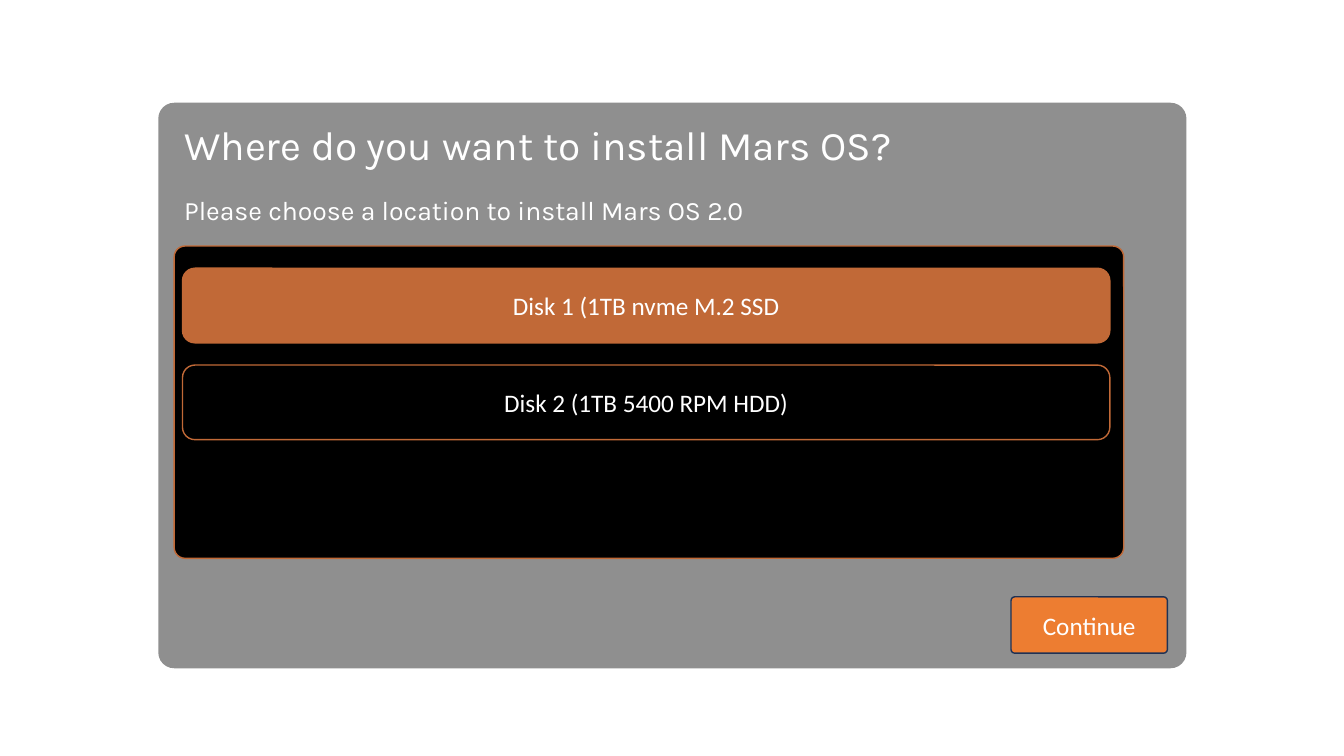
from lxml.etree import SubElement
from pptx import Presentation
from pptx.dml.color import RGBColor
from pptx.enum.shapes import MSO_SHAPE
from pptx.enum.text import MSO_ANCHOR, MSO_AUTO_SIZE, PP_ALIGN
from pptx.oxml.ns import qn
from pptx.util import Cm, Pt

WHITE, BLACK = "FFFFFF", "000000"
COPPER, ORANGE, NAVY = "C16937", "ED7D31", "1E3256"


def paint(color_format, value):
    color_format.rgb = RGBColor.from_string(value)


class InstallerPage:
    heading_font = "Karla"
    label_font = "Calibri"
    label_size = 18

    def __init__(self, deck):
        self.page = deck.slides.add_slide(deck.slide_layouts[5])

    def add_text(self, frame, text, font, size, align, anchor):
        frame.word_wrap = True
        frame.vertical_anchor = anchor
        para = frame.paragraphs[0]
        para.alignment = align
        span = para.add_run()
        span.text = text
        span.font.name = font
        span.font.size = Pt(size)
        paint(span.font.color, WHITE)

    def heading(self, box, text, size):
        frame = box.text_frame
        self.add_text(frame, text, self.heading_font, size, PP_ALIGN.LEFT, MSO_ANCHOR.TOP)
        frame.auto_size = MSO_AUTO_SIZE.SHAPE_TO_FIT_TEXT

    def title(self, left, top, width, height, text, size):
        box = self.page.shapes.title
        box.left, box.top = Cm(left), Cm(top)
        box.width, box.height = Cm(width), Cm(height)
        self.heading(box, text, size)

    def subtitle(self, left, top, width, height, text, size):
        box = self.page.shapes.add_textbox(Cm(left), Cm(top), Cm(width), Cm(height))
        self.heading(box, text, size)

    def rounded(self, left, top, width, height, fill, line=None, radius=0.167, label=None):
        box = self.page.shapes.add_shape(
            MSO_SHAPE.ROUNDED_RECTANGLE, Cm(left), Cm(top), Cm(width), Cm(height))
        box.adjustments[0] = radius
        box.shadow.inherit = False
        box.fill.solid()
        paint(box.fill.fore_color, fill)
        if line:
            paint(box.line.color, line)
            box.line.width = Pt(1)
        else:
            box.line.fill.background()
        if label:
            self.add_text(box.text_frame, label, self.label_font, self.label_size,
                          PP_ALIGN.CENTER, MSO_ANCHOR.MIDDLE)
        return box

    def backdrop(self, left, top, width, height, fill, opacity, radius):
        box = self.rounded(left, top, width, height, fill, radius=radius)
        color = box.element.spPr.find(qn("a:solidFill"))[0]
        SubElement(color, qn("a:alpha"), val=str(opacity * 1000))
        self.page.shapes.title.element.addprevious(box.element)


def main():
    deck = Presentation()
    deck.slide_width, deck.slide_height = Cm(33.87), Cm(19.05)
    installer = InstallerPage(deck)
    installer.backdrop(3.99, 2.59, 25.91, 14.25, BLACK, opacity=44, radius=0.028)

    content_left, heading_width = 4.39, 24.43
    installer.title(content_left, 2.9, heading_width, 1.5,
                    "Where do you want to install Mars OS?", 29)
    installer.subtitle(content_left, 4.75, heading_width, 1.07,
                       "Please choose a location to install Mars OS 2.0", 19)

    installer.rounded(content_left, 6.2, 23.93, 7.87, BLACK, COPPER, 0.035)
    disks = [("Disk 1 (1TB nvme M.2 SSD", COPPER), ("Disk 2 (1TB 5400 RPM HDD)", BLACK)]
    first_disk_top, disk_pitch = 6.76, 2.44
    for row, (label, fill) in enumerate(disks):
        installer.rounded(4.6, first_disk_top + row * disk_pitch, 23.37, 1.88,
                          fill, COPPER, label=label)

    installer.rounded(25.48, 15.04, 3.94, 1.42, ORANGE, NAVY, 0.066, "Continue")
    deck.save("out.pptx")


if __name__ == "__main__":
    main()
